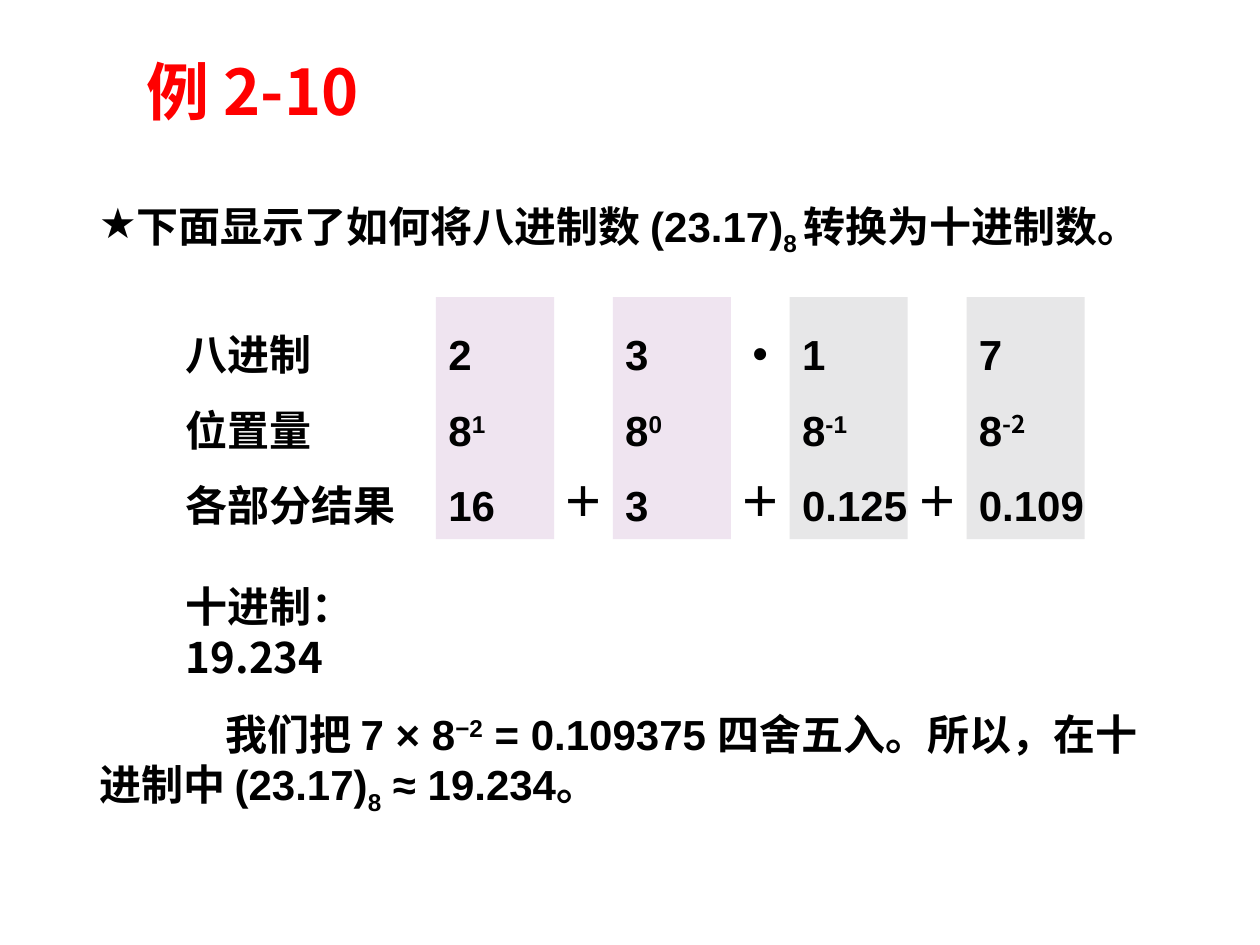
"""Build the slide that converts an octal number to decimal."""
from lxml.etree import SubElement
from pptx import Presentation
from pptx.dml.color import RGBColor
from pptx.enum.shapes import MSO_SHAPE
from pptx.enum.text import MSO_ANCHOR, PP_ALIGN
from pptx.oxml.ns import qn
from pptx.util import Cm, Pt

COLORS = {"title": "FF0000", "text": "000000", "whole": "EFE4F0", "fraction": "E7E7E8"}
LATIN, CHINESE, SIGN = "Arial", "Noto Sans CJK SC", "Calibri"
SUPER, SUB = 30, -25

TITLE = [["例 2-10"]]
INTRO = [["下面显示了如何将八进制数 (23.17)", ("8 ", SUB), "转换为十进制数。"]]
LABELS = [["八进制"], ["位置量"], ["各部分结果"]]
COLUMNS = [
    ("2", ("1", SUPER), "16", "whole"),
    ("3", ("0", SUPER), "3", "whole"),
    ("1", ("-1", SUPER), "0.125", "fraction"),
    ("7", ("-2", SUPER, CHINESE), "0.109", "fraction"),
]
RESULT = [["十进制：19.234"]]
CLOSING = [["我们把 7 × 8", ("−2", SUPER), " = 0.109375 四舍五入。所以，在十进制中 (23.17)",
            ("8", SUB), " ≈ 19.234。"]]

GRID_LEFT, GRID_TOP, GRID_HEIGHT = 8.79, 5.99, 4.88
COLUMN_WIDTH, COLUMN_STEP = 2.38, 3.565
SIGN_WIDTH, SIGN_HEIGHT = 1.36, 1.27
SIGN_TOP, POINT_TOP = 9.47, 6.45
POINT_GAP = 1


def write(box, lines, font=LATIN, east_asian=CHINESE, size=24, color="text", align=PP_ALIGN.LEFT,
          spacing=1.0, anchor=MSO_ANCHOR.TOP, wrap=False, margin=0, indent=0, bullet=None):
    """Fill a box with lines, each a list of strings or (text, baseline, font) spans."""
    frame = box.text_frame
    frame.word_wrap = wrap
    frame.vertical_anchor = anchor
    for index, line in enumerate(lines):
        paragraph = frame.add_paragraph() if index else frame.paragraphs[0]
        paragraph.alignment = align
        paragraph.line_spacing = spacing
        properties = paragraph._p.get_or_add_pPr()
        properties.set("marL", str(Cm(margin)))
        properties.set("indent", str(Cm(indent)))
        if bullet:
            SubElement(properties, qn("a:buChar")).set("char", bullet)
        for item in line:
            text, baseline, face = ((item,) if isinstance(item, str) else item) + (0, font)[
                (0 if isinstance(item, str) else len(item) - 1):]
            span = paragraph.add_run()
            span.text = text
            span.font.name = face
            span.font.size = Pt(size)
            span.font.bold = True
            span.font.color.rgb = RGBColor.from_string(COLORS[color])
            run_properties = span._r.get_or_add_rPr()
            SubElement(run_properties, qn("a:ea")).set("typeface", east_asian)
            if baseline:
                run_properties.set("baseline", str(baseline * 1000))


def add_text(page, left, top, width, height, lines, **style):
    """Add a text box and write its lines."""
    box = page.shapes.add_textbox(Cm(left), Cm(top), Cm(width), Cm(height))
    write(box, lines, **style)


def add_column(page, left, digit, exponent, result, fill):
    """Add one shaded column holding a digit, its weight and its result."""
    box = page.shapes.add_shape(MSO_SHAPE.RECTANGLE, Cm(left), Cm(GRID_TOP),
                                Cm(COLUMN_WIDTH), Cm(GRID_HEIGHT))
    box.shadow.inherit = False
    box.fill.solid()
    box.fill.fore_color.rgb = RGBColor.from_string(COLORS[fill])
    box.line.fill.background()
    write(box, [[digit], ["8", exponent], [result]], spacing=1.5)


def main():
    """Lay out the slide and save it."""
    deck = Presentation()
    deck.slide_width, deck.slide_height = Cm(25.4), Cm(19.05)
    page = deck.slides.add_slide(deck.slide_layouts[6])

    add_text(page, 2.7, 1.09, 20, 1.65, TITLE, font=CHINESE, size=36, color="title",
             spacing=0.9, anchor=MSO_ANCHOR.MIDDLE, wrap=True)
    add_text(page, 1.75, 3.91, 21.9, 1.3, INTRO, wrap=True, margin=0.64, indent=-0.64, bullet="★")
    add_text(page, 3.5, GRID_TOP, 4.78, GRID_HEIGHT, LABELS, spacing=1.5)

    for index, column in enumerate(COLUMNS):
        left = GRID_LEFT + index * COLUMN_STEP
        add_column(page, left, *column)
        if index == len(COLUMNS) - 1:
            continue
        sign_left = left + (COLUMN_WIDTH + COLUMN_STEP - SIGN_WIDTH) / 2
        add_text(page, sign_left, SIGN_TOP, SIGN_WIDTH, SIGN_HEIGHT, [["＋"]],
                 font=SIGN, east_asian=SIGN, align=PP_ALIGN.CENTER)
        if index == POINT_GAP:
            add_text(page, sign_left, POINT_TOP, SIGN_WIDTH, SIGN_HEIGHT, [["•"]],
                     align=PP_ALIGN.CENTER)

    add_text(page, 3.5, 11.58, 3.9, 2.3, RESULT, font=CHINESE, wrap=True)
    add_text(page, 1.75, 14.15, 21.9, 2.3, CLOSING, wrap=True, indent=2.54)
    deck.save("out.pptx")


if __name__ == "__main__":
    main()
